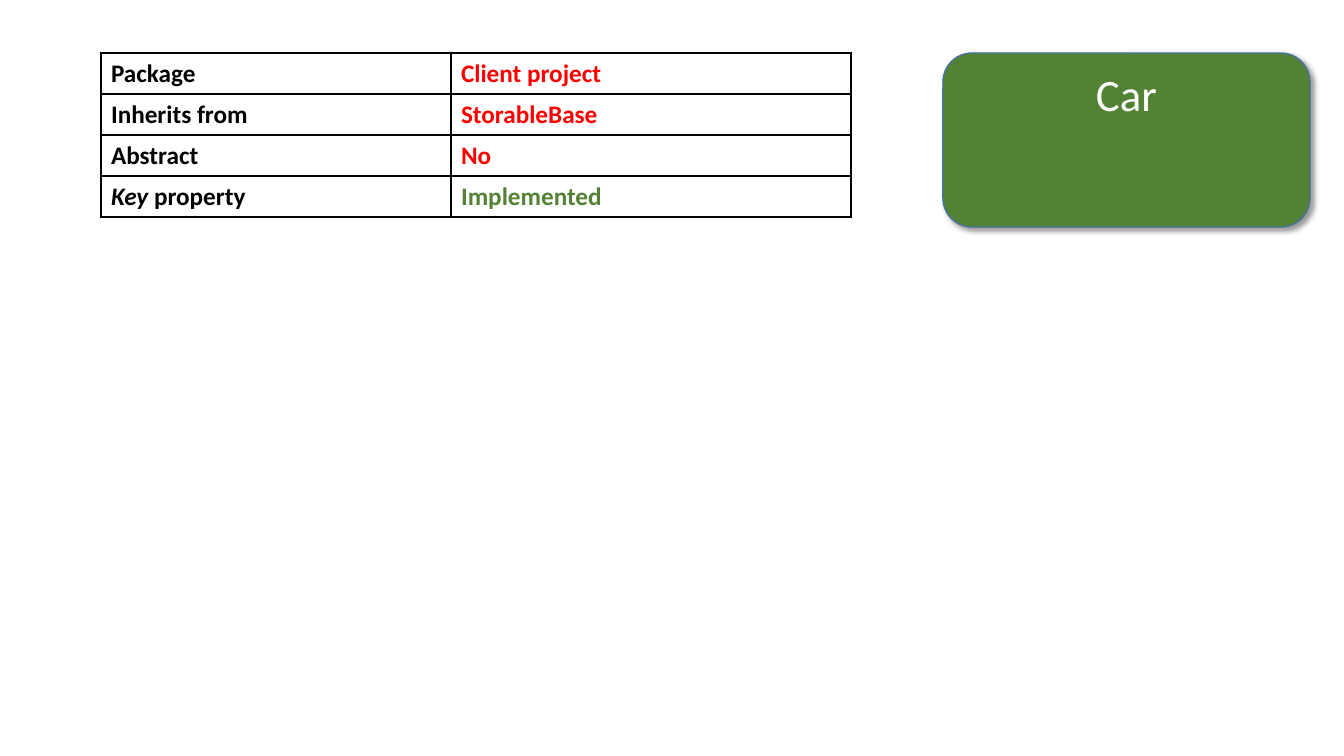
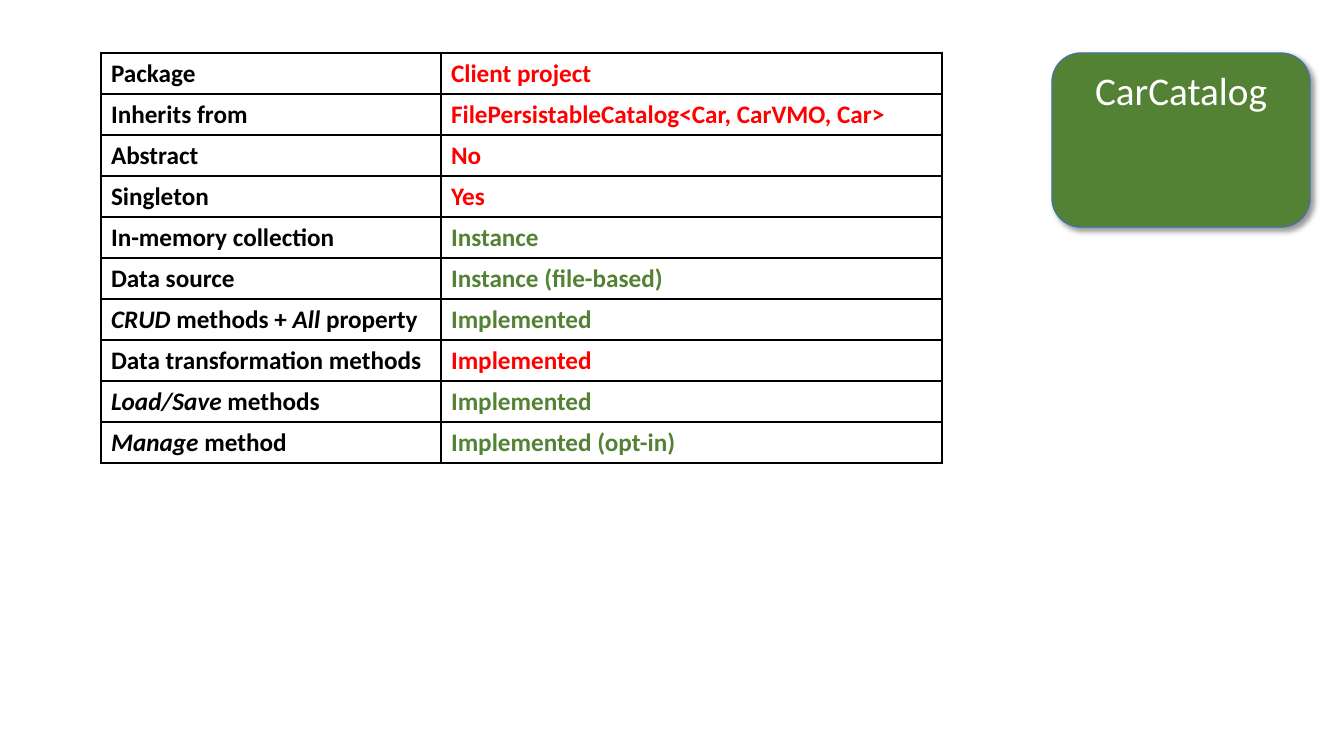
from lxml import etree
from pptx import Presentation
from pptx.dml.color import RGBColor
from pptx.enum.shapes import MSO_SHAPE as Shape
from pptx.enum.text import MSO_ANCHOR as Anchor, PP_ALIGN as Align
from pptx.oxml import parse_xml
from pptx.oxml.ns import nsdecls, qn
from pptx.util import Emu, Pt

EMU_PER_PX = 914400 / 100.8
BLANK_LAYOUT = 6


def px(length):
    return Emu(round(length * EMU_PER_PX))


def color(hex_code):
    return RGBColor.from_string(hex_code)


class ClassDeck:
    """Slides that describe one class each: a property table and a class box."""

    FONT = "Calibri"
    BLACK, WHITE = "000000", "FFFFFF"
    RED, GREEN, OUTLINE = "FF0000", "548235", "43739E"
    TOP, TABLE_LEFT, ROW_HEIGHT = 53, 101, 41
    BOX_RIGHT, BOX_HEIGHT = 1310, 174

    def __init__(self):
        self.presentation = Presentation()
        self.presentation.slide_width = px(1344)
        self.presentation.slide_height = px(756)
        self.slide = None

    def add_slide(self):
        layout = self.presentation.slide_layouts[BLANK_LAYOUT]
        self.slide = self.presentation.slides.add_slide(layout)

    def style(self, paragraph, size, hex_code, bold=False):
        font = paragraph.font
        font.name, font.size, font.bold = self.FONT, Pt(size), bold
        font.color.rgb = color(hex_code)

    def class_box(self, name, left, size):
        shape = self.slide.shapes.add_shape(
            Shape.ROUNDED_RECTANGLE, px(left), px(self.TOP),
            px(self.BOX_RIGHT - left), px(self.BOX_HEIGHT))
        shape.fill.solid()
        shape.fill.fore_color.rgb = color(self.GREEN)
        shape.line.color.rgb = color(self.OUTLINE)
        shape.line.width = Pt(1)
        self.drop_shadow(shape)
        frame = shape.text_frame
        frame.word_wrap = True
        frame.vertical_anchor = Anchor.TOP
        paragraph = frame.paragraphs[0]
        paragraph.text = name
        paragraph.alignment = Align.CENTER
        self.style(paragraph, size, self.WHITE)

    def drop_shadow(self, shape):
        shape.shadow.inherit = False
        effects = shape.element.spPr.find(qn("a:effectLst"))
        effects.append(parse_xml(
            f'<a:outerShdw {nsdecls("a")} blurRad="{Pt(4)}" dist="{Pt(3)}" '
            f'dir="2700000" algn="tl" rotWithShape="0">'
            f'<a:srgbClr val="{self.BLACK}"><a:alpha val="40000"/></a:srgbClr>'
            f'</a:outerShdw>'))

    def property_table(self, rows, column_widths):
        table = self.slide.shapes.add_table(
            len(rows), len(column_widths), px(self.TABLE_LEFT), px(self.TOP),
            px(sum(column_widths)), px(self.ROW_HEIGHT * len(rows))).table
        table.first_row = table.horz_banding = False
        for column, width in zip(table.columns, column_widths):
            column.width = px(width)
        for index, (label, value, value_color) in enumerate(rows):
            self.cell(table.cell(index, 0), label, self.BLACK)
            self.cell(table.cell(index, 1), value, value_color)

    def cell(self, cell, text, hex_code):
        """Fill a cell; the parts of the text between asterisks are italic."""
        self.borders(cell)
        cell.fill.background()
        paragraph = cell.text_frame.paragraphs[0]
        for index, part in enumerate(text.split("*")):
            if part:
                run = paragraph.add_run()
                run.text = part
                if index % 2:
                    run.font.italic = True
        self.style(paragraph, 18, hex_code, bold=True)

    def borders(self, cell):
        properties = cell._tc.get_or_add_tcPr()
        for side in ("lnL", "lnR", "lnT", "lnB"):
            line = etree.SubElement(properties, qn(f"a:{side}"), w=str(Pt(1)))
            fill = etree.SubElement(line, qn("a:solidFill"))
            etree.SubElement(fill, qn("a:srgbClr"), val=self.BLACK)


def main():
    deck = ClassDeck()
    red, green = deck.RED, deck.GREEN

    # Car
    deck.add_slide()
    deck.class_box("Car", left=943, size=32)
    deck.property_table([
        ("Package", "Client project", red),
        ("Inherits from", "StorableBase", red),
        ("Abstract", "No", red),
        ("*Key* property", "Implemented", green),
    ], column_widths=(350, 400))

    # CarCatalog
    deck.add_slide()
    deck.class_box("CarCatalog", left=1052, size=28)
    deck.property_table([
        ("Package", "Client project", red),
        ("Inherits from", "FilePersistableCatalog<Car, CarVMO, Car>", red),
        ("Abstract", "No", red),
        ("Singleton", "Yes", red),
        ("In-memory collection", "Instance", green),
        ("Data source", "Instance (file-based)", green),
        ("*CRUD* methods + *All* property", "Implemented", green),
        ("Data transformation methods", "Implemented", red),
        ("*Load/Save* methods", "Implemented", green),
        ("*Manage* method", "Implemented (opt-in)", green),
    ], column_widths=(340, 501))

    deck.presentation.save("out.pptx")


if __name__ == "__main__":
    main()
